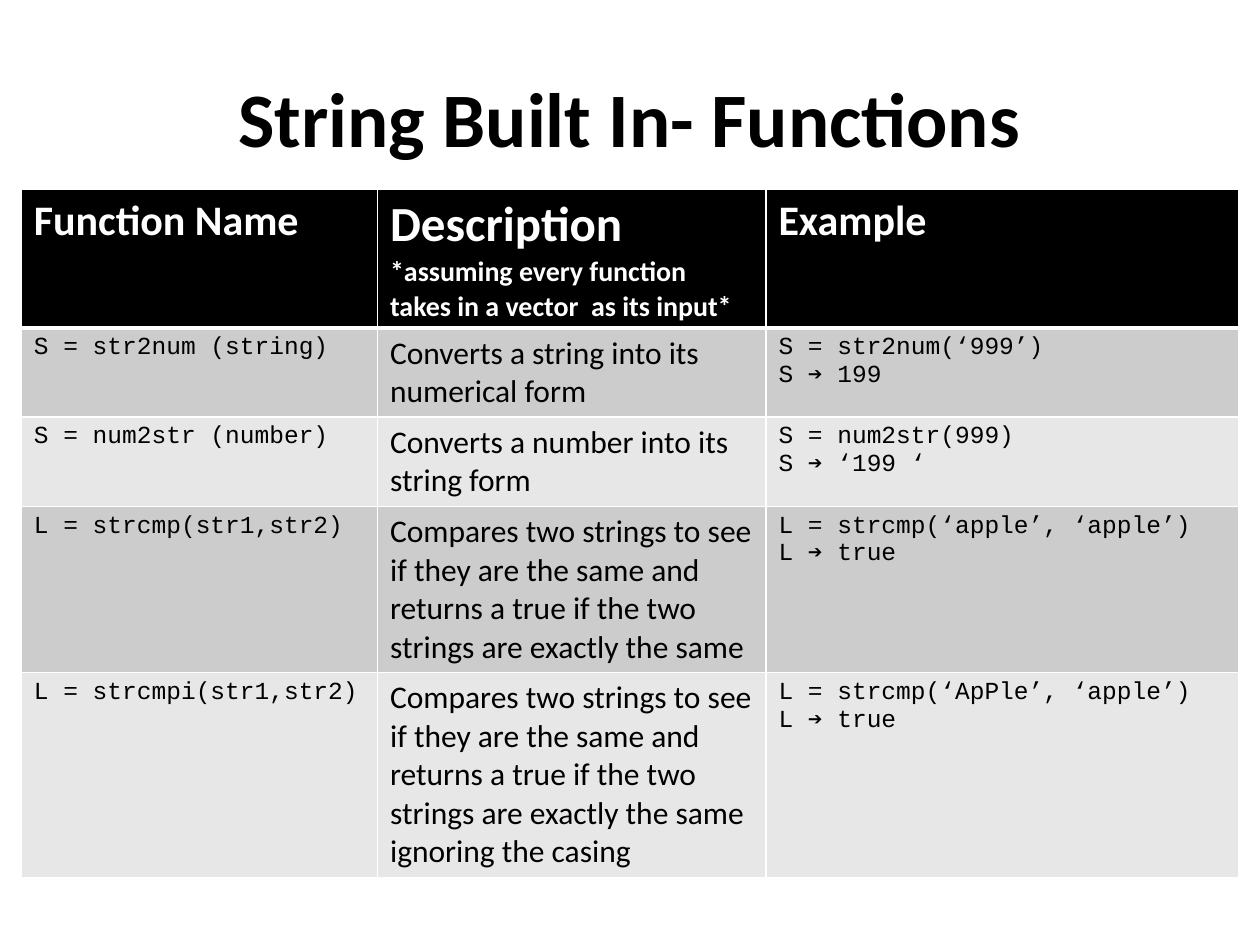
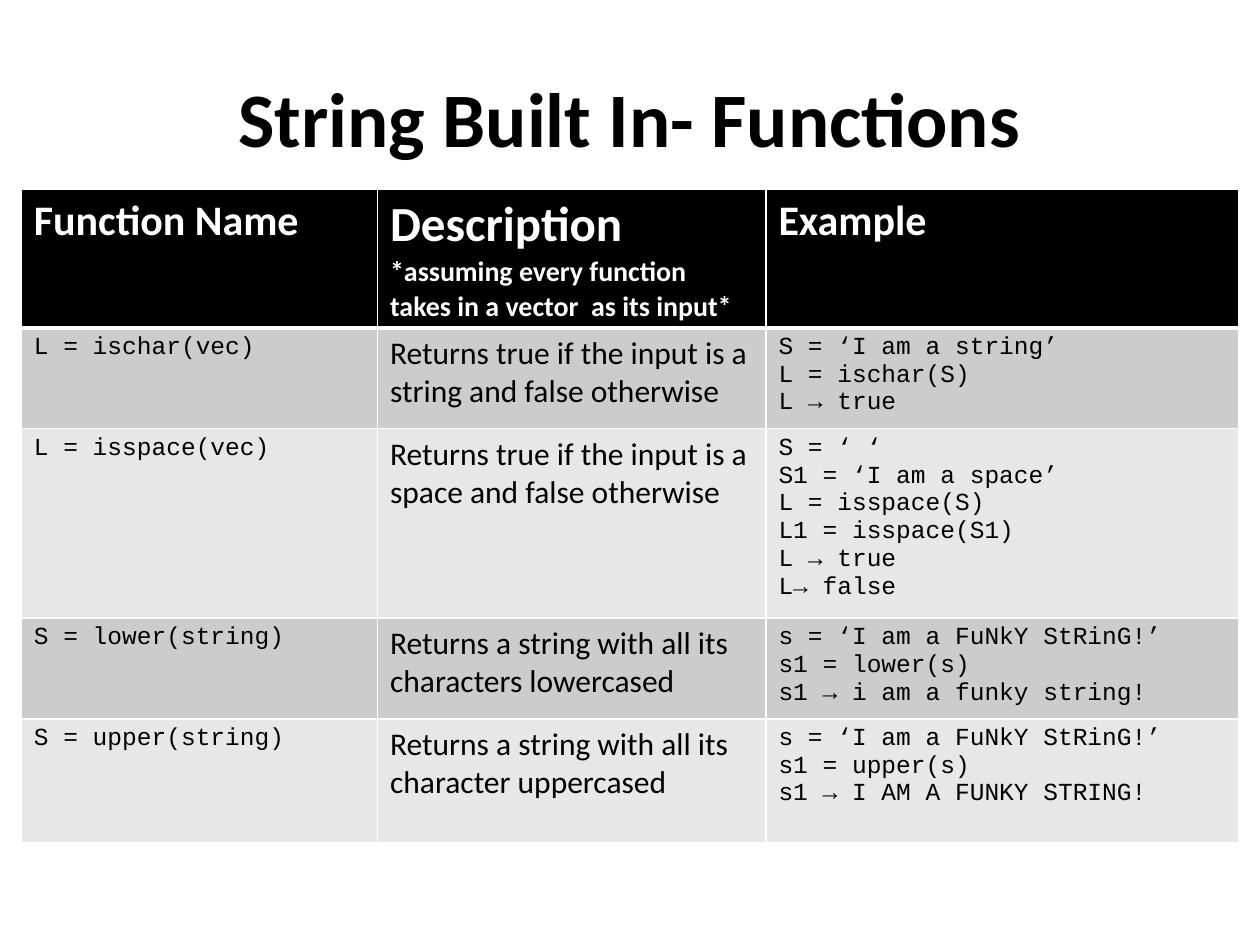
from lxml.etree import SubElement
from pptx import Presentation
from pptx.dml.color import RGBColor
from pptx.enum.text import MSO_ANCHOR as Anchor, PP_ALIGN as Align
from pptx.oxml.ns import qn
from pptx.util import Cm, Pt

BLACK, WHITE = "000000", "FFFFFF"
BANDS = ("CCCCCC", "E7E7E7")
SANS, MONO = "Calibri", "Courier New"
TITLE = "String Built In- Functions"
COLS = (7.18, 7.83, 9.53)
HEAD_ROW = 2.8
HEAD = (
    (("Function Name", 24),),
    (("Description", 28),
     ("*assuming every function takes in a vector  as its input*", 16)),
    (("Example", 24),),
)


def paint(code):
    return RGBColor.from_string(code)


def write(par, text, font=SANS, size=18, color=BLACK, bold=False,
          align=Align.LEFT):
    par.alignment = align
    run = par.add_run()
    run.text = text
    face = run.font
    face.name, face.size, face.bold = font, Pt(size), bold
    face.color.rgb = paint(color)


class Deck:
    def __init__(self):
        self.prs = Presentation()
        self.prs.slide_width, self.prs.slide_height = Cm(25.4), Cm(19.05)
        self.slide = None

    def page(self):
        self.slide = self.prs.slides.add_slide(self.prs.slide_layouts[6])

    def title(self, text):
        box = self.slide.shapes.add_textbox(
            Cm(1.27), Cm(0.76), Cm(22.86), Cm(3.18))
        frame = box.text_frame
        frame.word_wrap = True
        frame.vertical_anchor = Anchor.MIDDLE
        write(frame.paragraphs[0], text, size=44, bold=True,
              align=Align.CENTER)

    def cell(self, cell, lines, fill, top=1, base=1):
        """Fill a cell; lines holds pairs of text and format."""
        # Borders come before the fill in the cell properties
        props = cell._tc.get_or_add_tcPr()
        for side, width in (("L", 1), ("R", 1), ("T", top), ("B", base)):
            line = SubElement(props, qn("a:ln" + side), w=str(Pt(width)))
            solid = SubElement(line, qn("a:solidFill"))
            SubElement(solid, qn("a:srgbClr"), val=WHITE)
        cell.fill.solid()
        cell.fill.fore_color.rgb = paint(fill)
        frame = cell.text_frame
        for i, (text, form) in enumerate(lines):
            par = frame.add_paragraph() if i else frame.paragraphs[0]
            write(par, text, **form)

    def table(self, rows):
        """Each row: height, function, description, example lines."""
        highs = [HEAD_ROW] + [row[0] for row in rows]
        grid = self.slide.shapes.add_table(
            len(highs), len(COLS), Cm(0.43), Cm(3.81),
            Cm(sum(COLS)), Cm(sum(highs))).table
        grid.first_row = grid.horz_banding = False
        for col, wide in zip(grid.columns, COLS):
            col.width = Cm(wide)
        for row, high in zip(grid.rows, highs):
            row.height = Cm(high)

        # Header
        for c, lines in enumerate(HEAD):
            pairs = [(text, dict(size=size, color=WHITE, bold=True))
                     for text, size in lines]
            self.cell(grid.cell(0, c), pairs, BLACK, base=3)

        # Banded body
        code = dict(font=MONO, size=14)
        for r, (_, name, about, sample) in enumerate(rows, 1):
            parts = ([(name, code)], [(about, {})],
                     [(text, code) for text in sample])
            for c, pairs in enumerate(parts):
                self.cell(grid.cell(r, c), pairs, BANDS[(r - 1) % 2],
                          top=3 if r == 1 else 1)


SAME = ("Compares two strings to see if they are the same and returns "
        "a true if the two strings are exactly the same")

# Conversion and comparison
CONVERT = (
    (1.8, "S = str2num (string)",
     "Converts a string into its numerical form",
     ("S = str2num(‘999’)", "S ➔ 199")),
    (1.8, "S = num2str (number)",
     "Converts a number into its string form",
     ("S = num2str(999)", "S ➔ ‘199 ‘")),
    (3.35, "L = strcmp(str1,str2)", SAME,
     ("L = strcmp(‘apple’, ‘apple’)", "L ➔ true")),
    (4.13, "L = strcmpi(str1,str2)", SAME + " ignoring the casing",
     ("L = strcmp(‘ApPle’, ‘apple’)", "L ➔ true")),
)

# Tests and letter case
FUNKY = "s = ‘I am a FuNkY StRinG!’"
CHECK = (
    (1.9, "L = ischar(vec)",
     "Returns true if the input is a string and false otherwise",
     ("S = ‘I am a string’", "L = ischar(S)", "L → true")),
    (3.6, "L = isspace(vec)",
     "Returns true if the input is a space and false otherwise",
     ("S = ‘ ‘", "S1 = ‘I am a space’", "L = isspace(S)",
      "L1 = isspace(S1)", "L → true", "L→ false")),
    (1.9, "S = lower(string)",
     "Returns a string with all its characters lowercased",
     (FUNKY, "s1 = lower(s)", "s1 → i am a funky string!")),
    (2.5, "S = upper(string)",
     "Returns a string with all its character uppercased",
     (FUNKY, "s1 = upper(s)", "s1 → I AM A FUNKY STRING!")),
)

deck = Deck()
for rows in (CONVERT, CHECK):
    deck.page()
    deck.title(TITLE)
    deck.table(rows)
deck.prs.save("out.pptx")
